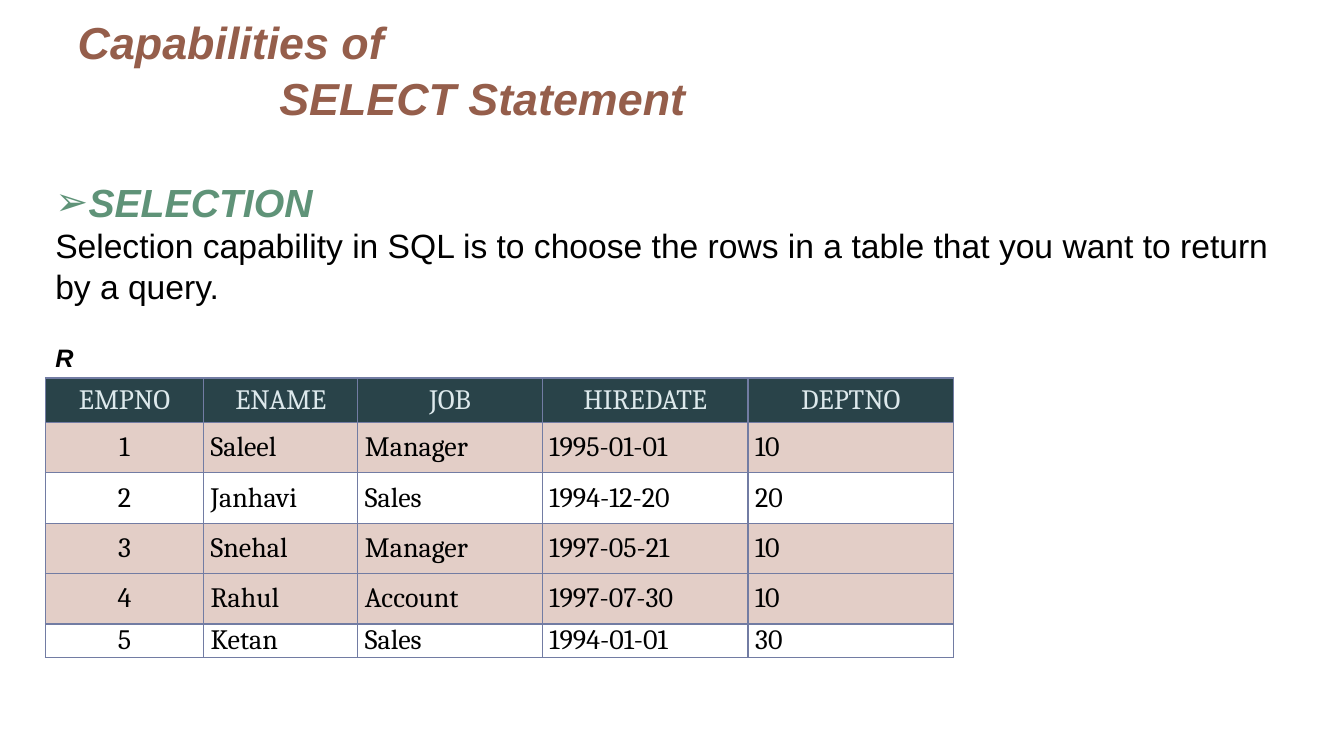
from dataclasses import dataclass

from lxml.etree import SubElement
from pptx import Presentation
from pptx.dml.color import RGBColor
from pptx.enum.text import MSO_ANCHOR as Anchor, MSO_AUTO_SIZE as AutoSize, PP_ALIGN as Align
from pptx.oxml.ns import qn
from pptx.util import Inches, Pt


@dataclass(frozen=True)
class Theme:
    text_font: str = "Arial"
    table_font: str = "Cambria"
    title_color: str = "955E4B"
    heading_color: str = "5F9378"
    ink: str = "000000"
    header_fill: str = "294349"
    header_ink: str = "DDE9EC"
    selected_fill: str = "E3CEC7"
    border: str = "727CA3"
    title_size: int = 32
    heading_size: int = 28
    body_size: int = 24
    table_size: int = 20
    label_size: int = 18


theme = Theme()


def style(paragraph, size, color, font=theme.text_font, emphasis=False):
    for run in paragraph.runs:
        run.font.name = font
        run.font.size = Pt(size)
        run.font.bold = run.font.italic = emphasis
        run.font.color.rgb = RGBColor.from_string(color)


def set_borders(cell):
    properties = cell._tc.get_or_add_tcPr()
    for position, side in enumerate(("a:lnL", "a:lnR", "a:lnT", "a:lnB")):
        line = properties.makeelement(qn(side), {"w": str(Pt(1))})
        properties.insert(position, line)
        fill = SubElement(line, qn("a:solidFill"))
        SubElement(fill, qn("a:srgbClr"), val=theme.border)


prs = Presentation()
prs.slide_width, prs.slide_height = Inches(13.33), Inches(7.5)
slide = prs.slides.add_slide(prs.slide_layouts[5])

# Title, with its second line indented
title = slide.shapes.title
title.left, title.top, title.width, title.height = map(Inches, (0.67, 0.29, 12, 1))
title_frame = title.text_frame
title_frame.text = "Capabilities of\nSELECT Statement"
title_frame.auto_size = AutoSize.NONE
title_frame.vertical_anchor = Anchor.BOTTOM
for paragraph in title_frame.paragraphs:
    paragraph.alignment = Align.LEFT
    style(paragraph, theme.title_size, theme.title_color, emphasis=True)
second_line = title_frame.paragraphs[1]
second_line.line_spacing = 1.05
second_line._p.get_or_add_pPr().set("marL", str(Inches(2)))

# Explanation of selection
explanation = slide.shapes.add_textbox(*map(Inches, (0.45, 1.25, 12.44, 1.85))).text_frame
explanation.word_wrap = True
explanation.text = (
    "SELECTION\n"
    "Selection capability in SQL is to choose the rows in a table "
    "that you want to return by a query."
)
heading, description = explanation.paragraphs
heading.line_spacing = 2.0
style(heading, theme.heading_size, theme.heading_color, emphasis=True)
style(description, theme.body_size, theme.ink)
heading_properties = heading._p.get_or_add_pPr()
heading_properties.set("marL", str(Inches(0.33)))
heading_properties.set("indent", str(-Inches(0.33)))
SubElement(heading_properties, qn("a:buFont"), typeface=theme.text_font)
SubElement(heading_properties, qn("a:buChar"), char="➢")

# Employee table: the rows of the selected department are shaded
columns = {"EMPNO": 1.57, "ENAME": 1.53, "JOB": 1.83, "HIREDATE": 2.04, "DEPTNO": 2.04}
employees = [
    ("1", "Saleel", "Manager", "1995-01-01", "10"),
    ("2", "Janhavi", "Sales", "1994-12-20", "20"),
    ("3", "Snehal", "Manager", "1997-05-21", "10"),
    ("4", "Rahul", "Account", "1997-07-30", "10"),
    ("5", "Ketan", "Sales", "1994-01-01", "30"),
]
selected_department = "10"
row_heights = [0.44, 0.5, 0.5, 0.5, 0.5, 0.33]
records = [tuple(columns), *employees]

relation = slide.shapes.add_table(
    len(records), len(columns), Inches(0.45), Inches(3.75),
    Inches(sum(columns.values())), Inches(sum(row_heights)),
).table
relation.horz_banding = False
for column, width in zip(relation.columns, columns.values()):
    column.width = Inches(width)

for row_index, (record, height) in enumerate(zip(records, row_heights)):
    relation.rows[row_index].height = Inches(height)
    is_header = row_index == 0
    for column_index, value in enumerate(record):
        cell = relation.cell(row_index, column_index)
        cell.text = value
        cell.vertical_anchor = Anchor.MIDDLE
        cell.margin_left = cell.margin_right = Inches(0.07)
        cell.margin_top = cell.margin_bottom = 0
        paragraph = cell.text_frame.paragraphs[0]
        paragraph.alignment = Align.CENTER if is_header or column_index == 0 else Align.LEFT
        style(paragraph, theme.table_size,
              theme.header_ink if is_header else theme.ink, theme.table_font)
        if is_header:
            cell.fill.solid()
            cell.fill.fore_color.rgb = RGBColor.from_string(theme.header_fill)
        elif record[-1] == selected_department:
            cell.fill.solid()
            cell.fill.fore_color.rgb = RGBColor.from_string(theme.selected_fill)
        else:
            cell.fill.background()
        set_borders(cell)

# Name of the relation
relation_label = slide.shapes.add_textbox(*map(Inches, (0.45, 3.35, 0.43, 0.4))).text_frame
relation_label.word_wrap = True
relation_label.text = "R"
style(relation_label.paragraphs[0], theme.label_size, theme.ink, emphasis=True)

prs.save("out.pptx")
